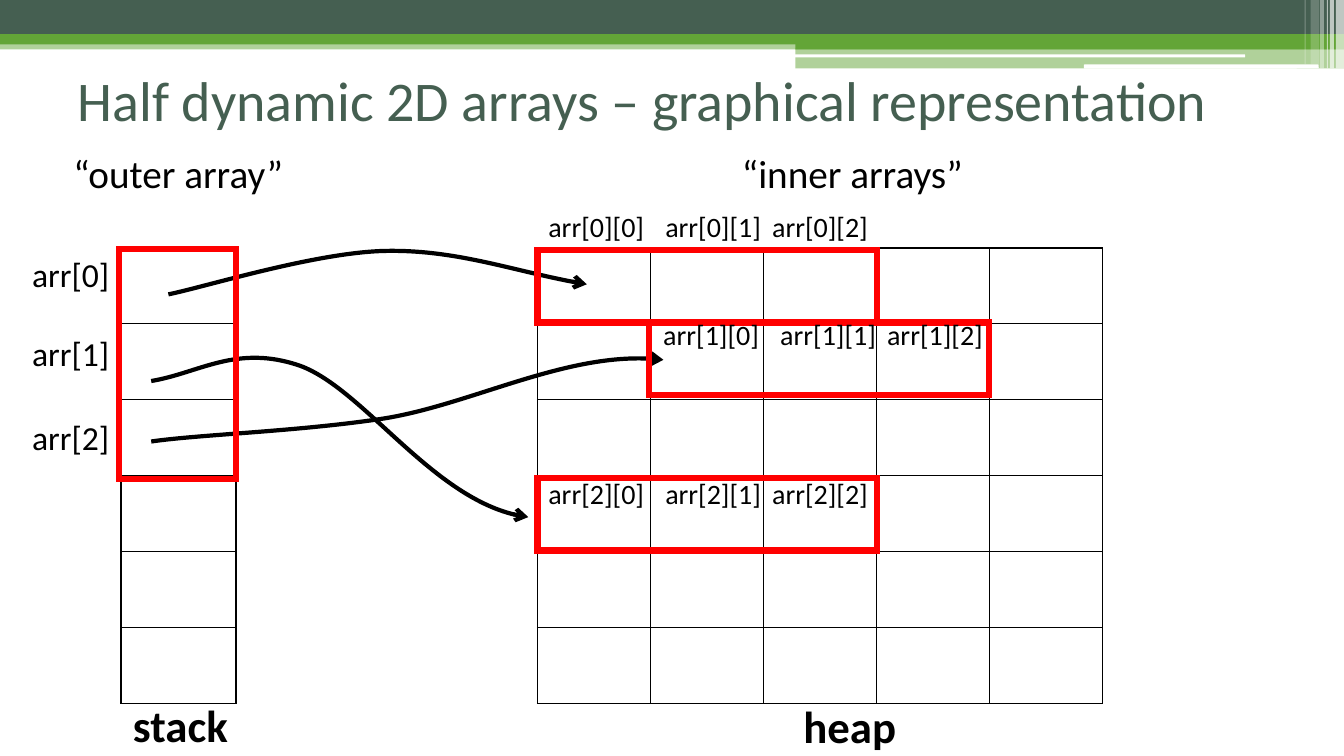
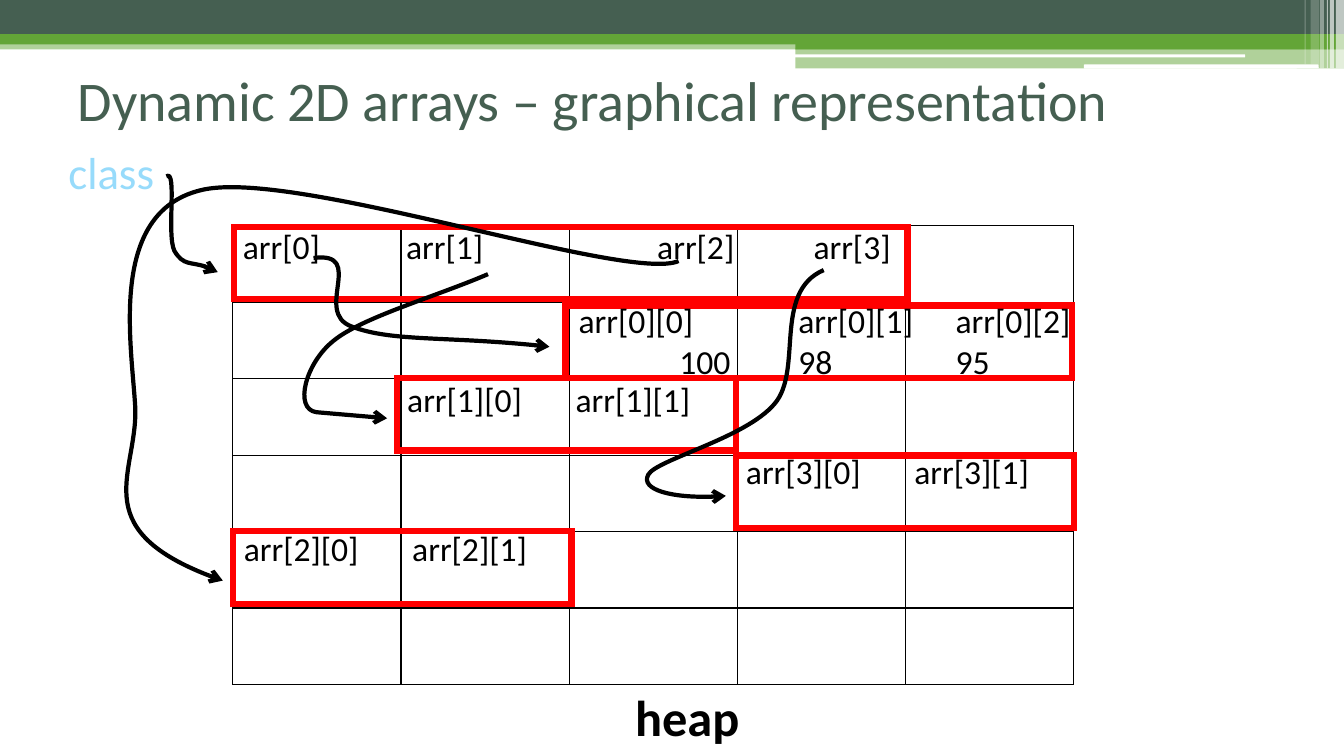
import dataclasses

import lxml.etree
import pptx
import pptx.dml.color
import pptx.enum.shapes
import pptx.enum.text
import pptx.oxml.ns
import pptx.util


@dataclasses.dataclass(frozen=True)
class Theme:
    font: str = "Calibri"
    dark: str = "455F51"
    green: str = "63A537"
    white: str = "FFFFFF"
    black: str = "000000"
    red: str = "FF0000"
    sky: str = "97DBFB"
    title: int = 40
    region: int = 36
    keyword: int = 32
    caption: int = 28
    pointer: int = 24
    element: int = 20
    grid_line: int = 1
    arrow_line: int = 3
    frame_line: float = 4.5


THEME = Theme()
SLIDE_SIZE = (13.33, 7.5)
TITLE_BOX = (0.67, 0.4, 12, 1.17)
TAB_STOP = 1
CURVE_STEPS = 50

BANDS = [
    ("RECTANGLE", (0, 0.4, 13.33, 0.09), THEME.green, 50),
    ("RECTANGLE", (0, 0, 13.33, 0.34), THEME.dark, 100),
    ("RECTANGLE", (0, 0.34, 13.33, 0.1), THEME.green, 100),
    ("RECTANGLE", (7.89, 0.39, 5.44, 0.1), THEME.green, 100),
    ("RECTANGLE", (7.89, 0.48, 5.44, 0.2), THEME.green, 50),
    ("ROUNDED_RECTANGLE", (7.88, 0.54, 4.47, 0.03), THEME.white, 100),
    ("ROUNDED_RECTANGLE", (10.75, 0.64, 2.33, 0.04), THEME.white, 100),
    ("RECTANGLE", (13.25, 0, 0.08, 0.68), THEME.white, 65),
    ("RECTANGLE", (13.19, 0, 0.04, 0.68), THEME.white, 65),
    ("RECTANGLE", (13.16, 0, 0.01, 0.68), THEME.white, 60),
    ("RECTANGLE", (13.09, 0, 0.04, 0.68), THEME.white, 40),
    ("RECTANGLE", (13, 0, 0.08, 0.64), THEME.white, 20),
    ("RECTANGLE", (12.94, 0, 0.01, 0.64), THEME.white, 30),
]


def label(text, place, size, color=THEME.black, bold=None):
    return text, place, size, color, bold


def pointer_labels(places):
    return [
        label(f"arr[{index}]", (left, top, 0.98, 0.5), THEME.pointer)
        for index, (left, top) in enumerate(places)
    ]


def element_labels(row, left, top, offsets, width, height, size):
    return [
        label(f"arr[{row}][{column}]", (left + offset, top, width, height), size)
        for column, offset in enumerate(offsets)
    ]


def triple_labels(row, left, top):
    return element_labels(row, left, top, (0, 1.16, 2.22), 1.16, 0.44, THEME.element)


def pair_labels(row, left, top):
    return element_labels(row, left, top, (0, 1.67), 1.35, 0.5, THEME.pointer)


HALF_DYNAMIC = {
    "title": "Half dynamic 2D arrays – graphical representation",
    "grids": [((1.2, 2.46, 1.14, 4.52), 6, 1), ((5.33, 2.46, 5.61, 4.52), 6, 5)],
    "arrows": [
        [(1.67, 2.92), (2.02, 2.85), (3.11, 2.51), (3.8, 2.49),
         (4.5, 2.47), (5.15, 2.71), (5.82, 2.82)],
        [(1.5, 3.78), (1.98, 3.7), (2.35, 3.41), (2.98, 3.63),
         (3.6, 3.86), (4.34, 5.02), (5.24, 5.13)],
        [(1.5, 4.38), (1.98, 4.31), (2.98, 4.28), (3.82, 4.15),
         (4.67, 4.01), (5.68, 3.46), (6.58, 3.57)],
    ],
    "frames": [
        *((left, top, 3.37, 0.72) for left, top in ((5.33, 2.48), (6.44, 3.2), (5.33, 4.74))),
        (1.18, 2.47, 1.16, 2.28),
    ],
    "labels": [
        label("“outer array”", (0.63, 1.43, 2.3, 0.57), THEME.caption),
        label("“inner arrays”", (7.26, 1.43, 2.42, 0.57), THEME.caption),
        label("stack", (1.22, 6.87, 1.15, 0.64), THEME.keyword, bold=True),
        label("heap", (7.87, 6.88, 1.13, 0.64), THEME.keyword, bold=True),
        *pointer_labels([(0.22, 2.47), (0.22, 3.25), (0.22, 4.09)]),
        *triple_labels(0, 5.34, 2.03),
        *triple_labels(1, 6.48, 3.1),
        *triple_labels(2, 5.34, 4.68),
    ],
}

DYNAMIC = {
    "title": "Dynamic 2D arrays – graphical representation",
    "grids": [((2.31, 2.24, 8.34, 4.55), 6, 5)],
    "frames": [
        (2.32, 2.25, 6.68, 0.72),
        (3.94, 3.75, 3.36, 0.72),
        (5.61, 3.03, 5.02, 0.72),
        (2.31, 5.27, 3.36, 0.72),
        (7.3, 4.52, 3.35, 0.72),
    ],
    "arrows": [
        [(3.11, 2.56), (3.64, 2.49), (3.1, 3.1), (3.49, 3.24),
         (3.88, 3.39), (4.46, 3.33), (5.45, 3.44)],
        [(4.84, 2.72), (4.33, 2.94), (3.59, 3.15), (3.31, 3.38), (3.03, 3.6),
         (2.91, 4.06), (3.14, 4.09), (3.37, 4.11), (3.61, 4.13), (3.84, 4.15)],
        [(6.73, 2.59), (6.22, 2.81), (2.87, 1.65), (1.98, 1.89), (1.08, 2.12),
         (1.3, 3.38), (1.34, 4.02), (1.38, 4.67), (0.79, 5.27), (2.21, 5.76)],
        [(8.17, 2.68), (7.66, 2.9), (7.97, 3.68), (7.68, 4.01), (7.39, 4.35),
         (6.51, 4.56), (6.43, 4.71), (6.35, 4.86), (6.73, 4.96), (7.2, 4.92)],
        [(1.65, 1.75), (1.76, 1.67), (1.65, 2.33), (1.73, 2.49),
         (1.82, 2.64), (1.94, 2.58), (2.16, 2.7)],
    ],
    "labels": [
        label("heap", (6.2, 6.76, 1.25, 0.71), THEME.region, bold=True),
        *pointer_labels([(2.31, 2.19), (3.93, 2.19), (6.42, 2.19), (7.97, 2.19)]),
        label("arr[0][0]\n\t100", (5.64, 2.93, 1.72, 0.91), THEME.pointer),
        label("arr[0][1]\n98", (7.82, 2.93, 1.35, 0.91), THEME.pointer),
        label("arr[0][2]\n95", (9.38, 2.93, 1.35, 0.91), THEME.pointer),
        *pair_labels(1, 3.94, 3.71),
        *pair_labels(2, 2.32, 5.19),
        *pair_labels(3, 7.3, 4.42),
        label("class", (0.58, 1.39, 1.06, 0.64), THEME.keyword, THEME.sky),
    ],
}


def inches(value):
    return pptx.util.Cm(value * 2.54)


def lengths(values):
    return [inches(value) for value in values]


def rgb(color):
    return pptx.dml.color.RGBColor.from_string(color)


def find(element, tag):
    return element.find(".//" + pptx.oxml.ns.qn(tag))


def add_child(parent, tag, **attributes):
    child = lxml.etree.SubElement(parent, pptx.oxml.ns.qn(tag))
    for name, value in attributes.items():
        child.set(name, str(value))
    return child


def set_outline(shape, color, width):
    shape.shadow.inherit = False
    shape.fill.background()
    shape.line.color.rgb = rgb(color)
    shape.line.width = pptx.util.Pt(width)
    return find(shape.element, "a:ln")


def add_span(para, text, size, color, bold=None):
    span = para.add_run()
    span.text = text
    span.font.name = THEME.font
    span.font.size = pptx.util.Pt(size)
    span.font.bold = bold
    span.font.color.rgb = rgb(color)


def draw_grid(slide, grid):
    place, rows, columns = grid
    holder = slide.shapes.add_table(rows, columns, *lengths(place))
    table = holder.table
    table.first_row = False
    table.horz_banding = False
    for column in table.columns:
        column.width = inches(place[2] / columns)
    for row in table.rows:
        row.height = inches(place[3] / rows)
    for cell in table.iter_cells():
        cell.fill.solid()
        cell.fill.fore_color.rgb = rgb(THEME.white)
    for properties in holder.element.iter(pptx.oxml.ns.qn("a:tcPr")):
        for index, tag in enumerate(("a:lnL", "a:lnR", "a:lnT", "a:lnB")):
            border = add_child(properties, tag, w=pptx.util.Pt(THEME.grid_line))
            add_child(add_child(border, "a:solidFill"), "a:srgbClr", val=THEME.black)
            properties.insert(index, border)


def draw_frame(slide, place):
    frame = slide.shapes.add_shape(
        pptx.enum.shapes.MSO_SHAPE.RECTANGLE, *lengths(place))
    add_child(set_outline(frame, THEME.red, THEME.frame_line), "a:miter", lim=800000)


def curve_extent(knots, axis):
    values = []
    for first in range(0, len(knots) - 1, 3):
        a, b, c, d = (knot[axis] for knot in knots[first:first + 4])
        for step in range(CURVE_STEPS + 1):
            t = step / CURVE_STEPS
            s = 1 - t
            values.append(s ** 3 * a + 3 * s * s * t * b + 3 * s * t * t * c + t ** 3 * d)
    return inches(min(values)), inches(max(values))


def draw_arrow(slide, knots):
    builder = slide.shapes.build_freeform(*lengths(knots[0]))
    builder.add_line_segments([lengths(knot) for knot in knots[3::3]], close=False)
    arrow = builder.convert_to_shape()
    (left, right), (top, bottom) = (curve_extent(knots, axis) for axis in (0, 1))
    arrow.left, arrow.top = left, top
    arrow.width, arrow.height = right - left, bottom - top
    outline = find(arrow.element, "a:pathLst")[0]
    outline.set("w", str(right - left))
    outline.set("h", str(bottom - top))
    for segment in list(outline):
        outline.remove(segment)
    segments = [("a:moveTo", knots[:1])]
    segments += [("a:cubicBezTo", knots[first:first + 3]) for first in range(1, len(knots), 3)]
    for tag, points in segments:
        segment = add_child(outline, tag)
        for x, y in points:
            add_child(segment, "a:pt", x=inches(x) - left, y=inches(y) - top)
    line = set_outline(arrow, THEME.black, THEME.arrow_line)
    add_child(line, "a:tailEnd", type="arrow")


def draw_label(slide, content):
    text, place, size, color, bold = content
    box = slide.shapes.add_textbox(*lengths(place))
    frame = box.text_frame
    frame.word_wrap = False
    frame.auto_size = pptx.enum.text.MSO_AUTO_SIZE.SHAPE_TO_FIT_TEXT
    for index, line in enumerate(text.split("\n")):
        para = frame.add_paragraph() if index else frame.paragraphs[0]
        add_span(para, line, size, color, bold)
        if "\t" in line:
            para.alignment = pptx.enum.text.PP_ALIGN.LEFT
            stops = add_child(find(box.element, "a:pPr"), "a:tabLst")
            add_child(stops, "a:tab", pos=inches(TAB_STOP), algn="l")


def draw_title(slide, text):
    title = slide.shapes.title
    title.left, title.top, title.width, title.height = lengths(TITLE_BOX)
    frame = title.text_frame
    frame.auto_size = pptx.enum.text.MSO_AUTO_SIZE.NONE
    frame.vertical_anchor = pptx.enum.text.MSO_ANCHOR.MIDDLE
    para = frame.paragraphs[0]
    para.alignment = pptx.enum.text.PP_ALIGN.LEFT
    add_span(para, text, THEME.title, THEME.dark)


def move_bands_to_master(deck, slide):
    for index, (kind, place, color, opacity) in enumerate(BANDS):
        band = slide.shapes.add_shape(
            pptx.enum.shapes.MSO_SHAPE[kind], *lengths(place))
        band.shadow.inherit = False
        band.line.fill.background()
        band.fill.solid()
        band.fill.fore_color.rgb = rgb(color)
        if opacity < 100:
            add_child(find(band.element, "a:srgbClr"), "a:alpha", val=opacity * 1000)
        band.element.nvSpPr.cNvPr.set("id", str(100 + index))
        deck.slide_master.shapes.element.append(band.element)


PAINTERS = {"title": draw_title, "grids": draw_grid, "frames": draw_frame,
            "arrows": draw_arrow, "labels": draw_label}


def main():
    deck = pptx.Presentation()
    deck.slide_width, deck.slide_height = lengths(SLIDE_SIZE)
    layout = deck.slide_layouts.get_by_name("Title Only")
    for index, content in enumerate((HALF_DYNAMIC, DYNAMIC)):
        slide = deck.slides.add_slide(layout)
        if index == 0:
            move_bands_to_master(deck, slide)
        for part, items in content.items():
            for item in [items] if part == "title" else items:
                PAINTERS[part](slide, item)
    deck.save("out.pptx")


if __name__ == "__main__":
    main()
